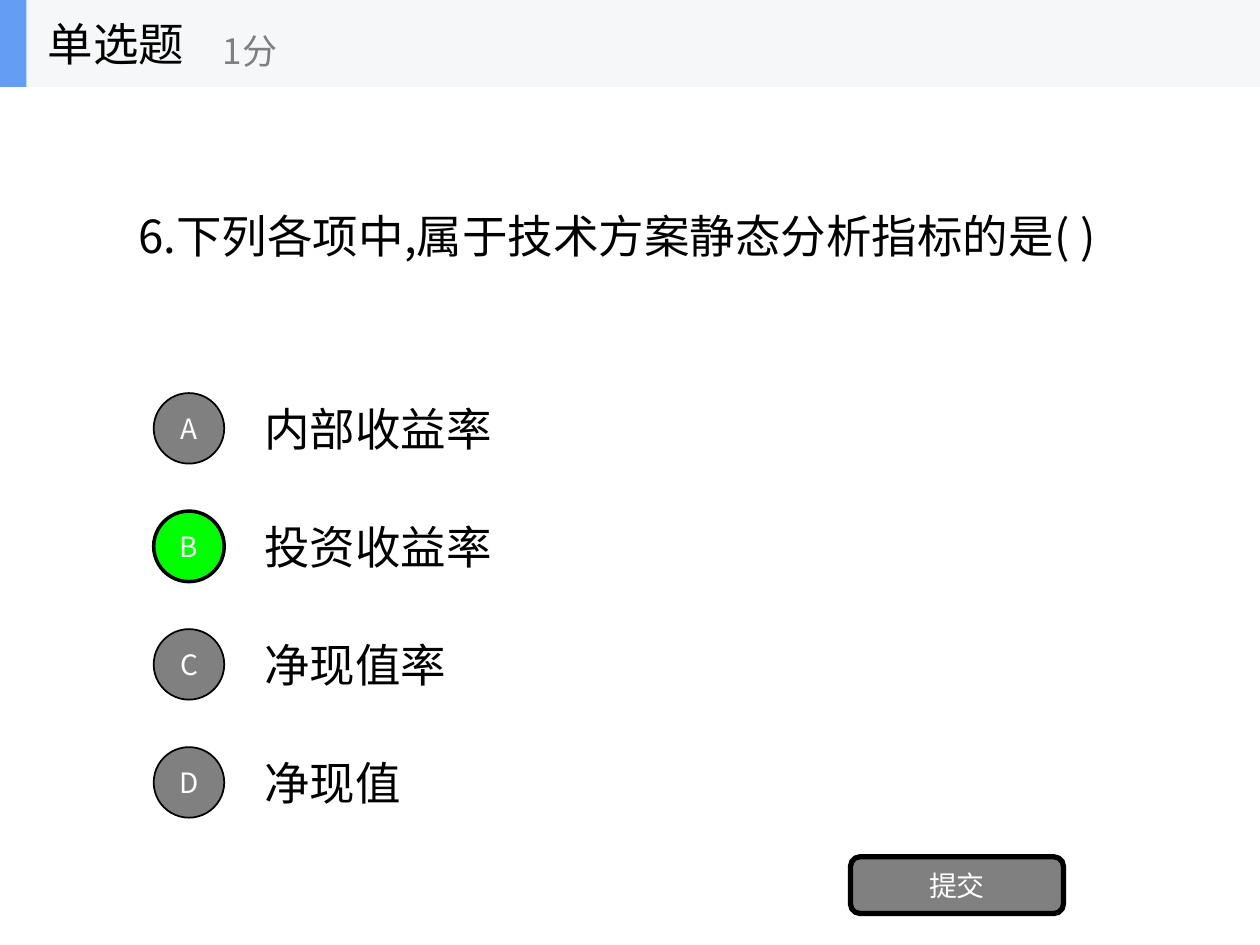
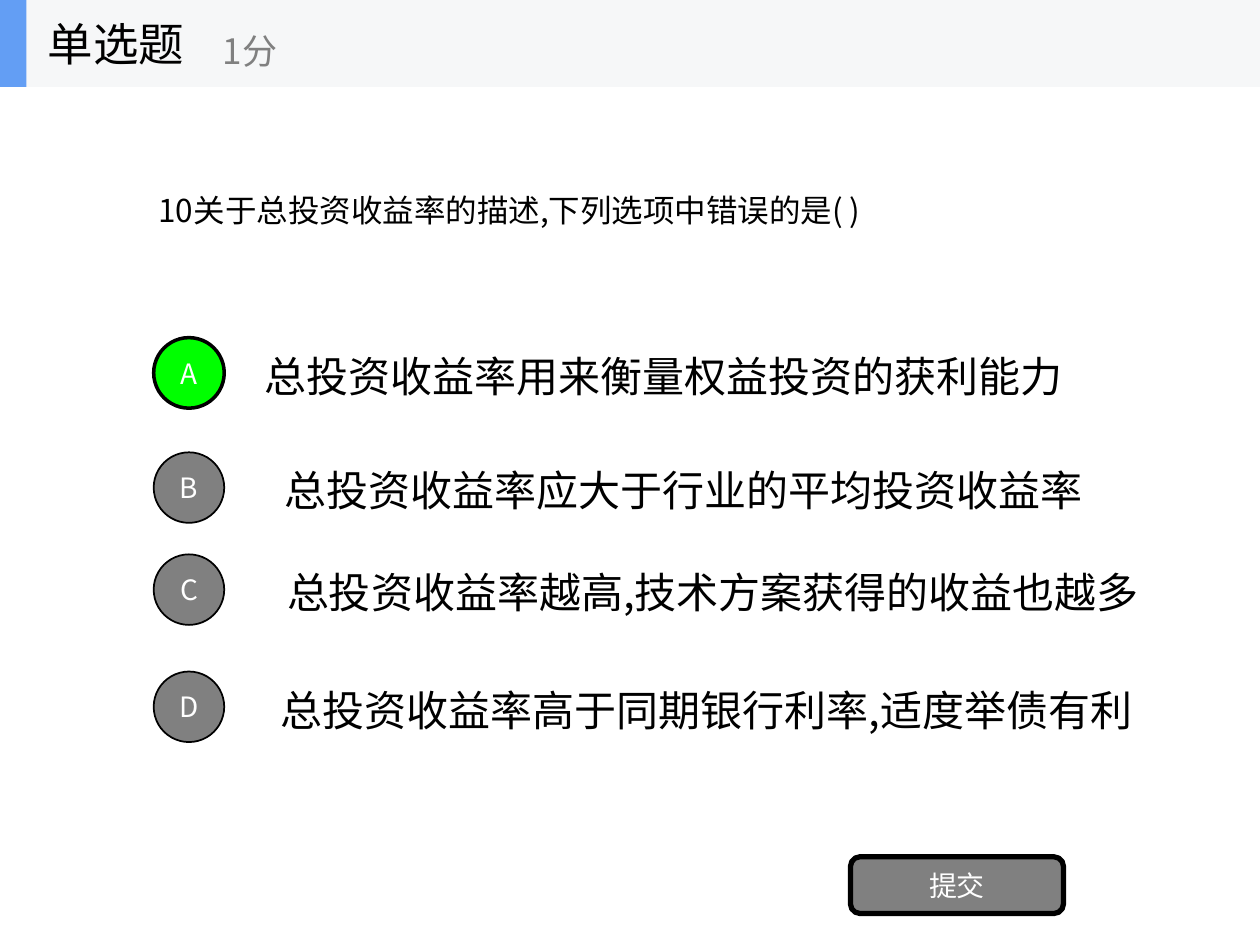
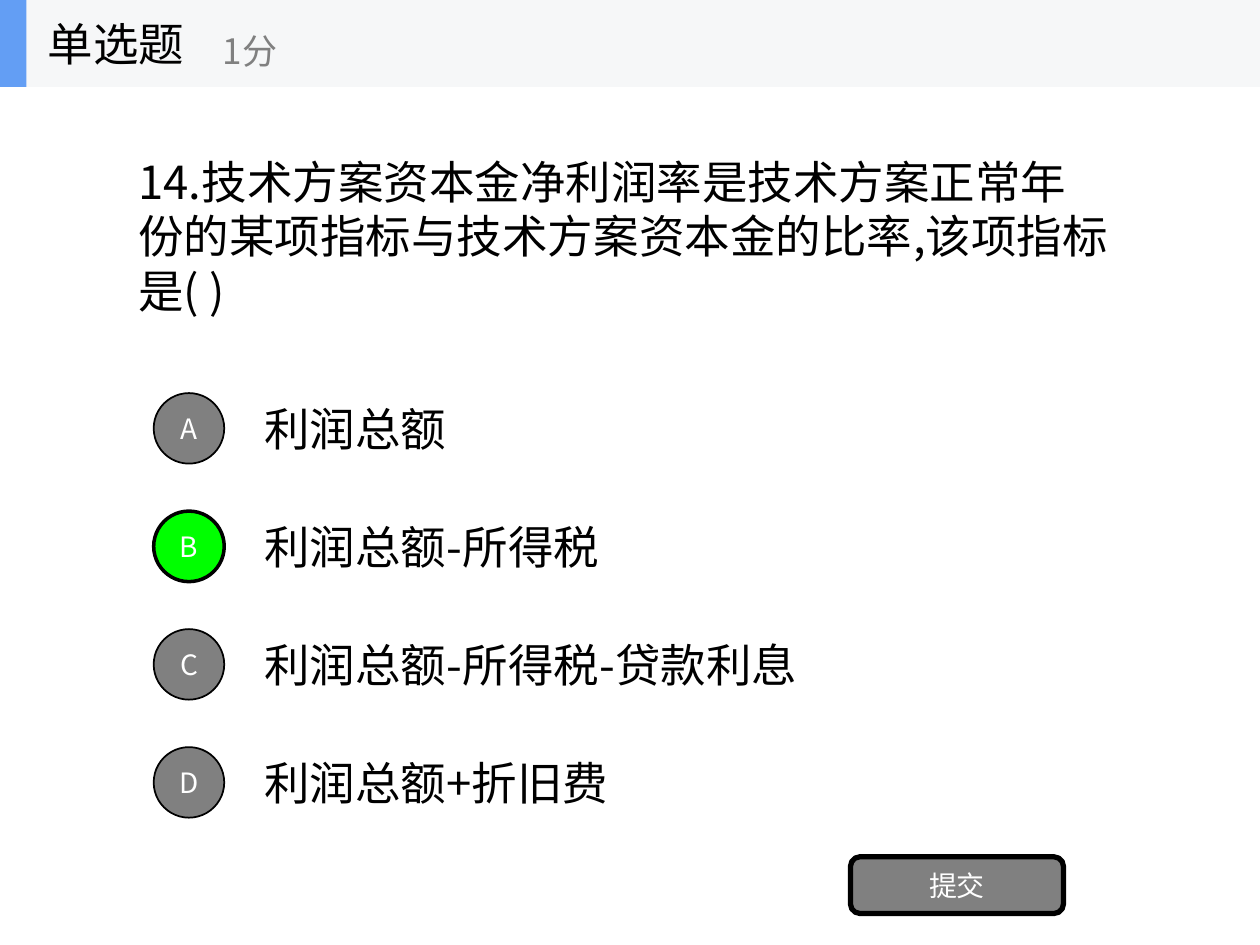
from lxml import etree
from pptx import Presentation
from pptx.dml.color import RGBColor
from pptx.enum import shapes, text
from pptx.oxml.ns import qn
from pptx.util import Inches, Pt

FONT = "Noto Sans CJK SC"
BLACK, WHITE, GREY = "000000", "FFFFFF", "808080"
GREEN, PALE, BLUE = "00FF00", "F6F7F8", "639EF4"
KIND = shapes.MSO_SHAPE
BAND = 0.69
DOT = 0.56


def rgb(code):
    return RGBColor.from_string(code)


def tall(size, rows):
    """Height in inches of a box that holds the given rows of text."""
    return rows * size / 60 + 0.1


def write(shape, words, size=26, color=BLACK, center=False, top=False,
          wrap=True, grow=False):
    frame = shape.text_frame
    frame.word_wrap = wrap
    frame.auto_size = (text.MSO_AUTO_SIZE.SHAPE_TO_FIT_TEXT if grow
                       else text.MSO_AUTO_SIZE.NONE)
    frame.vertical_anchor = text.MSO_ANCHOR.TOP if top else text.MSO_ANCHOR.MIDDLE
    para = frame.paragraphs[0]
    para.alignment = text.PP_ALIGN.CENTER if center else text.PP_ALIGN.LEFT
    run = para.add_run()
    run.text = words
    font = run.font
    font.size, font.name = Pt(size), FONT
    font.color.rgb = rgb(color)
    asian = etree.SubElement(font._element, qn("a:ea"))
    asian.set("typeface", FONT)


class Quiz:
    def __init__(self):
        self.deck = Presentation()
        self.deck.slide_width, self.deck.slide_height = Inches(10), Inches(7.5)
        self.slide = None

    def start(self):
        self.slide = self.deck.slides.add_slide(self.deck.slide_layouts[6])

    def label(self, words, x, y, w, h, home=None, **style):
        home = home or self.slide.shapes
        box = home.add_textbox(Inches(x), Inches(y), Inches(w), Inches(h))
        write(box, words, **style)

    def shape(self, kind, x, y, w, h, fill, line=0, home=None):
        home = home or self.slide.shapes
        item = home.add_shape(kind, Inches(x), Inches(y), Inches(w), Inches(h))
        item.shadow.inherit = False
        item.fill.solid()
        item.fill.fore_color.rgb = rgb(fill)
        if line:
            item.line.color.rgb = rgb(BLACK)
            item.line.width = Pt(line)
        else:
            item.line.fill.background()
        return item

    def dot(self, mark, y, right):
        fill, line = (GREEN, 2) if right else (GREY, 1)
        item = self.shape(KIND.OVAL, 1.22, y, DOT, DOT, fill, line)
        write(item, mark, size=16, color=WHITE, center=True)

    def button(self):
        item = self.shape(KIND.ROUNDED_RECTANGLE, 6.75, 6.8, 1.69, 0.45, GREY, 3)
        write(item, "提交", size=16, color=WHITE, center=True)

    def header(self):
        home = self.slide.shapes.add_group_shape().shapes
        self.shape(KIND.RECTANGLE, 0, 0, 10, BAND, PALE, home=home)
        self.shape(KIND.RECTANGLE, 0, 0, 0.21, BAND, BLUE, home=home)
        self.label("单选题", 0.28, 0, 2.08, BAND, home, wrap=False)
        self.label("1分", 1.67, 0.12, 2.5, 0.56, home, size=20, color=GREY,
                   wrap=False)

    def page(self, ask, picks, answer, tops, size=26, top=False):
        """ask: words, left, middle, width, rows, size.
        picks: words, left, width, rows, wrap for each option."""
        self.start()
        words, x, mid, w, rows, big = ask
        h = tall(big, rows)
        self.label(words, x, mid - h / 2, w, h, size=big, top=top, grow=True)
        for mark, y, (words, x, w, rows, wrap) in zip("ABCD", tops, picks):
            h = tall(size, rows)
            place = y + 0.05 if top else y + (DOT - h) / 2
            self.label(words, x, place, w, h, size=size, top=top, wrap=wrap,
                       grow=True)
            self.dot(mark, y, mark == answer)
        self.button()
        self.header()


def main():
    quiz = Quiz()
    even = [3.12 + 2.81 / 3 * i for i in range(4)]
    quiz.page(
        ("6.下列各项中,属于技术方案静态分析指标的是( )", 1, 1.87, 7.9, 2, 26),
        [("内部收益率", 2, 2.11, 1, True),
         ("投资收益率", 2, 2.11, 1, True),
         ("净现值率", 2, 1.75, 1, True),
         ("净现值", 2, 1.39, 1, True)],
        "B", even)
    quiz.page(
        ("10关于总投资收益率的描述,下列选项中错误的是( )", 1.16, 1.67, 6.95, 1, 18),
        [("总投资收益率用来衡量权益投资的获利能力", 2, 6.7, 1, True),
         ("总投资收益率应大于行业的平均投资收益率", 2.16, 6.53, 1, False),
         ("总投资收益率越高,技术方案获得的收益也越多", 2.18, 7.26, 1, True),
         ("总投资收益率高于同期银行利率,适度举债有利", 2.13, 7, 2, True)],
        "A", [2.68, 3.59, 4.4, 5.33], size=24, top=True)
    quiz.page(
        ("14.技术方案资本金净利润率是技术方案正常年份的某项指标与技术方案资本金的比率,该项指标是( )",
         1, 1.87, 7.93, 3, 26),
        [("利润总额", 2, 1.75, 1, True),
         ("利润总额-所得税", 2, 2.99, 2, True),
         ("利润总额-所得税-贷款利息", 2, 4.59, 2, True),
         ("利润总额+折旧费", 2, 3.1, 2, True)],
        "B", even)
    quiz.deck.save("out.pptx")


if __name__ == "__main__":
    main()
